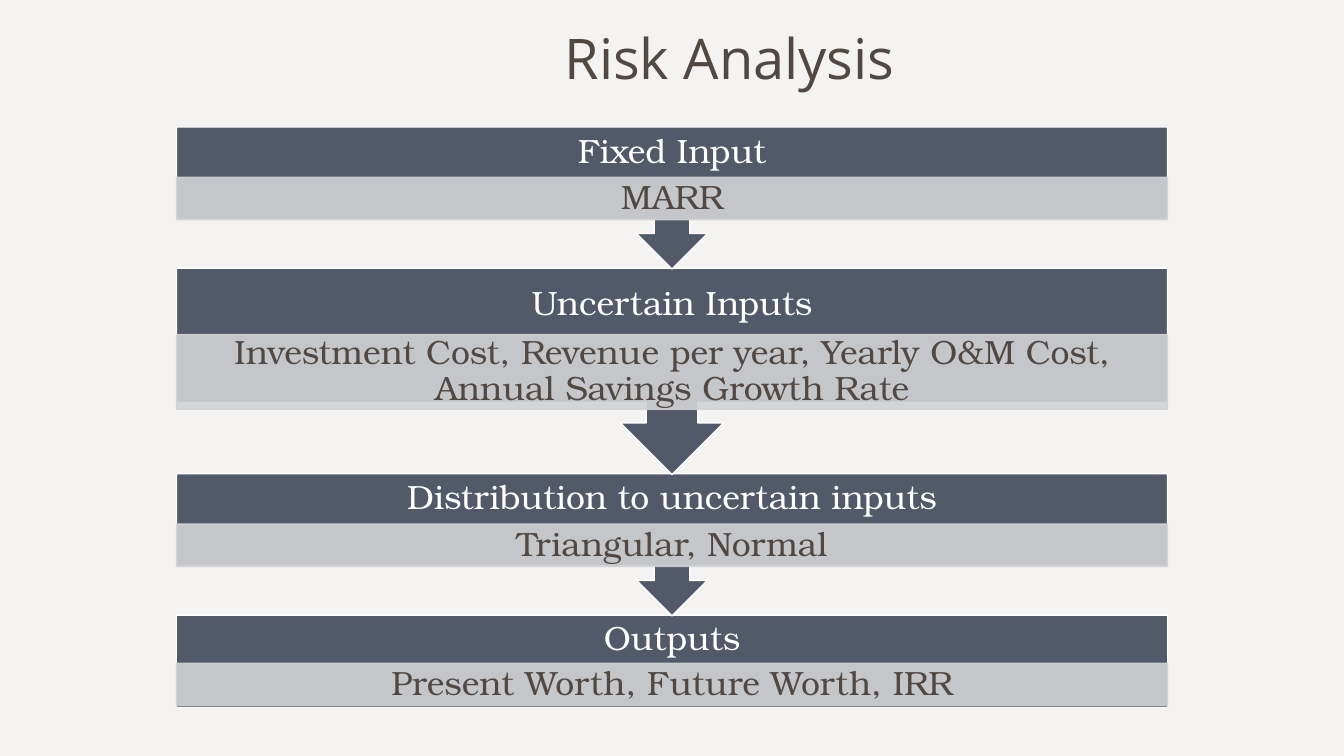
"""Build the Risk Analysis slide: four stacked stages joined by arrow callouts."""
from lxml.etree import SubElement
from pptx import Presentation
from pptx.dml.color import RGBColor
from pptx.enum.shapes import MSO_SHAPE as Shape
from pptx.enum.text import MSO_ANCHOR as Anchor, PP_ALIGN as Align
from pptx.oxml.ns import qn
from pptx.util import Inches, Pt

PAPER = RGBColor(0xF4, 0xF3, 0xF1)
SLATE = RGBColor(0x52, 0x5A, 0x6A)
SILVER = RGBColor(0xD1, 0xD2, 0xD4)
BROWN = RGBColor(0x51, 0x48, 0x43)
WHITE = RGBColor(0xFF, 0xFF, 0xFF)

deck = Presentation()
deck.slide_width, deck.slide_height = Inches(13.33), Inches(7.5)
column, row = deck.slide_width / 100, deck.slide_height / 100
left, width = round(13.13 * column), round(73.74 * column)
page = deck.slides.add_slide(deck.slide_layouts[6])
page.background.fill.solid()
page.background.fill.fore_color.rgb = PAPER


def add_bar(kind, top, height, fill, line):
    """Add a full-width filled shape, placed in rows."""
    bar = page.shapes.add_shape(kind, left, round(top * row), width, round(height * row))
    bar.shadow.inherit = False
    bar.fill.solid()
    bar.fill.fore_color.rgb = fill
    bar.line.color.rgb = line
    bar.line.width = Pt(1)
    return bar


def write(box, text, color, margin):
    """Write one centred line of stage text."""
    frame = box.text_frame
    frame.word_wrap = True
    frame.vertical_anchor = Anchor.MIDDLE
    frame.margin_left = frame.margin_right = Inches(0.19)
    frame.margin_top = frame.margin_bottom = Inches(margin)
    frame.text = text
    para = frame.paragraphs[0]
    para.alignment = Align.CENTER
    para.line_spacing = 0.9
    font = para.runs[0].font
    font.name, font.size = "TeX Gyre Bonum", Pt(24)
    font.color.rgb = color


stages = [
    ("Fixed Input", "MARR", 16.8, 18.8, 6.67, 23.47, 5.6),
    ("Uncertain Inputs",
     "Investment Cost, Revenue per year, Yearly O&M Cost, Annual Savings Growth Rate",
     35.47, 27.33, 9.6, 44.27, 9.87),
    ("Distribution to uncertain inputs", "Triangular, Normal", 62.67, 18.8, 6.67, 69.33, 5.6),
    ("Outputs", "Present Worth, Future Worth, IRR", 81.33, 12.27, 6.67, 87.73, 5.6),
]
for stage in reversed(stages):
    heading, detail, top, height, heading_height, detail_top, detail_height = stage
    kind = Shape.RECTANGLE if stage is stages[-1] else Shape.DOWN_ARROW_CALLOUT
    add_bar(kind, top, height, SLATE, WHITE)
    heading_box = page.shapes.add_textbox(left, round(top * row), width, round(heading_height * row))
    write(heading_box, heading, WHITE, 0.19)
    detail_bar = add_bar(Shape.RECTANGLE, detail_top, detail_height, SILVER, SILVER)
    for color in detail_bar.element.spPr.iter(qn("a:srgbClr")):
        SubElement(color, qn("a:alpha"), val="90000")
    write(detail_bar, detail, BROWN, 0.03)

title_box = page.shapes.add_textbox(
    round(41.26 * column), round(2.4 * row), round(28.8 * column), round(10.27 * row))
title_box.text_frame.word_wrap = True
title_box.text_frame.text = "Risk Analysis"
title_font = title_box.text_frame.paragraphs[0].runs[0].font
title_font.name, title_font.size = "Open Sans", Pt(40)
title_font.color.rgb = BROWN

deck.save("out.pptx")
